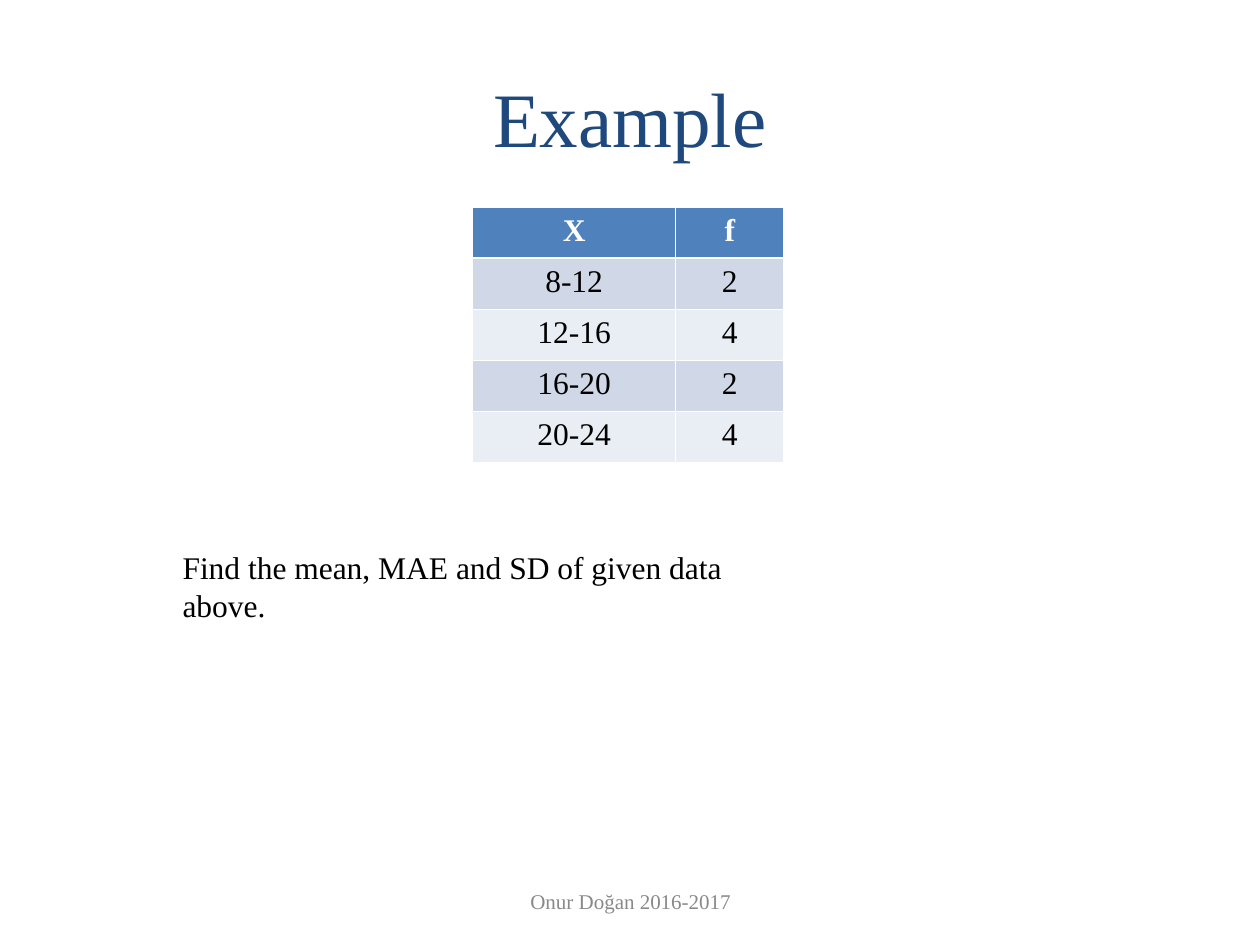
from lxml import etree
from pptx import Presentation
from pptx.dml.color import RGBColor
from pptx.enum.text import MSO_ANCHOR, PP_ALIGN
from pptx.oxml.ns import qn
from pptx.util import Cm, Pt

LEFT, CENTER = PP_ALIGN.LEFT, PP_ALIGN.CENTER
TOP, MIDDLE = MSO_ANCHOR.TOP, MSO_ANCHOR.MIDDLE
FONT = "Times New Roman"


def color(value):
    return RGBColor.from_string(value)


def write(frame, text, size=18, fill="000000", bold=False, align=LEFT):
    para = frame.paragraphs[0]
    para.alignment = align
    span = para.add_run()
    span.text = text
    span.font.name = FONT
    span.font.size = Pt(size)
    span.font.bold = bold
    span.font.color.rgb = color(fill)


deck = Presentation()
deck.slide_width, deck.slide_height = Cm(25.4), Cm(19.05)
page = deck.slides.add_slide(deck.slide_layouts[5])

# Title
title = page.shapes.title
title.left, title.top, title.width, title.height = Cm(1.27), Cm(0.76), Cm(22.86), Cm(3.18)
title.text_frame.vertical_anchor = MIDDLE
write(title.text_frame, "Example", size=44, fill="1F497D", align=CENTER)

# Frequency table
rows = [("X", "f"), ("8-12", "2"), ("12-16", "4"), ("16-20", "2"), ("20-24", "4")]
table = page.shapes.add_table(len(rows), 2, Cm(9.53), Cm(4.17), Cm(6.27), Cm(5.15)).table
table.columns[0].width, table.columns[1].width = Cm(4.09), Cm(2.18)
for r, values in enumerate(rows):
    header = r == 0
    table.rows[r].height = Cm(1.03)
    for c, value in enumerate(values):
        cell = table.cell(r, c)
        cell.fill.solid()
        cell.fill.fore_color.rgb = color("4F81BD" if header else "D0D8E8" if r % 2 else "E9EDF4")
        write(cell.text_frame, value, fill="FFFFFF" if header else "000000",
              bold=header, align=CENTER)
        # White borders, thicker under the header; they must precede the fill
        properties = cell._tc.get_or_add_tcPr()
        for position, side in enumerate(("lnL", "lnR", "lnT", "lnB")):
            thick = (r, side) in ((0, "lnB"), (1, "lnT"))
            line = etree.Element(qn(f"a:{side}"), w=str(Pt(1.47 if thick else 0.45)))
            solid = etree.SubElement(line, qn("a:solidFill"))
            etree.SubElement(solid, qn("a:srgbClr"), val="FFFFFF")
            properties.insert(position, line)

# Footer and task
texts = [
    ("Onur Doğan 2016-2017", (8.69, 17.65, 8.05, 1.02), MIDDLE, True,
     dict(size=12, fill="898989", align=CENTER)),
    ("Find the mean, MAE and SD of given data above.", (3.43, 10.92, 13.21, 1.02), TOP, False, {}),
]
for text, place, anchor, wrap, style in texts:
    box = page.shapes.add_textbox(*map(Cm, place))
    box.text_frame.word_wrap = wrap
    box.text_frame.vertical_anchor = anchor
    write(box.text_frame, text, **style)

deck.save("out.pptx")
